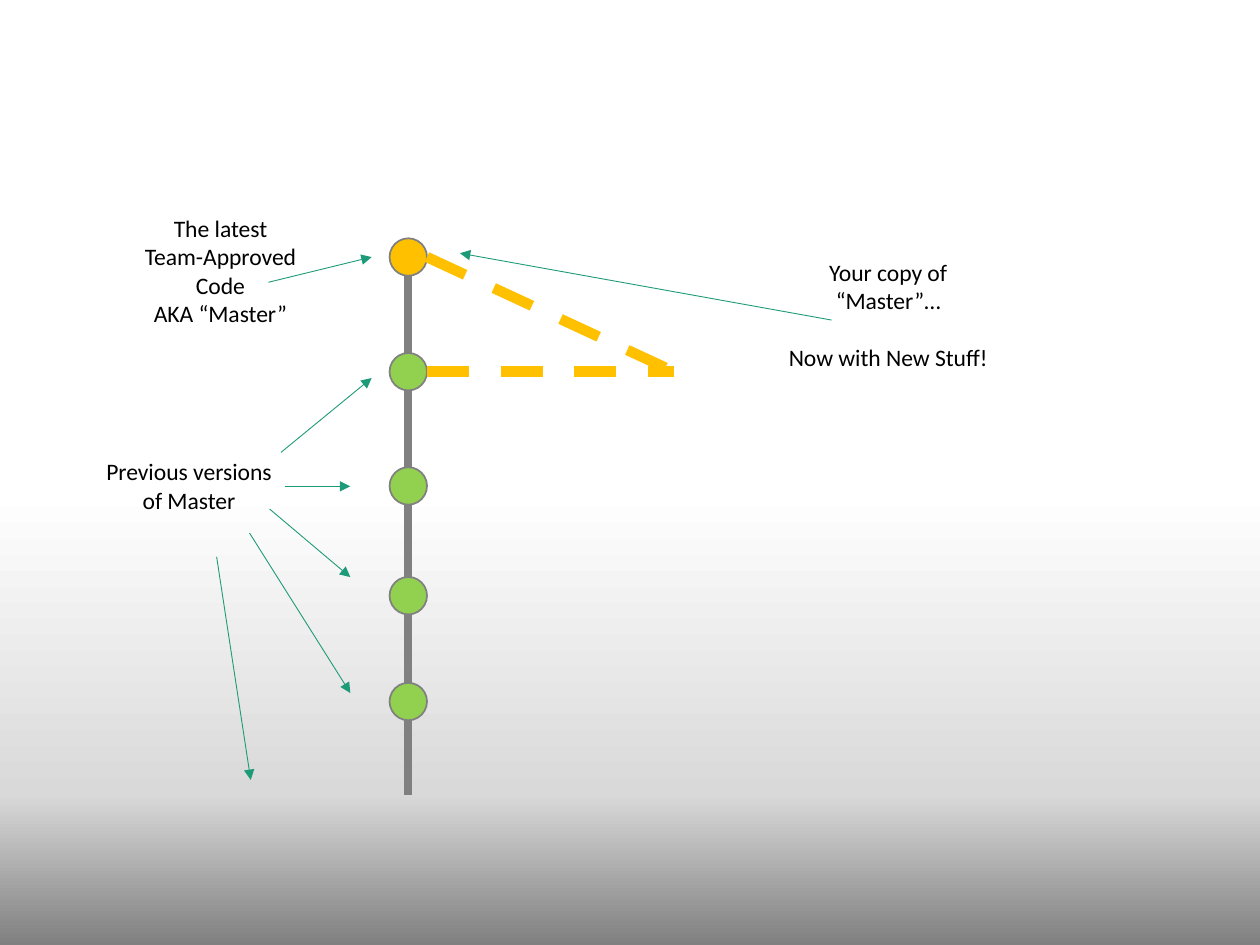
"""Build a slide that explains a master branch and a working copy of it."""
from copy import deepcopy
from dataclasses import dataclass
from itertools import pairwise

from pptx import Presentation
from pptx.dml.color import RGBColor as RGB
from pptx.enum.dml import MSO_LINE_DASH_STYLE as Dash
from pptx.enum.shapes import MSO_CONNECTOR as Connector, MSO_SHAPE as Shape
from pptx.enum.text import PP_ALIGN as Align
from pptx.oxml.ns import qn
from pptx.util import Pt


@dataclass(frozen=True)
class Theme:
    font: str = "Calibri"
    label_size: float = 13.5
    ink: RGB = RGB(0, 0, 0)
    trunk: RGB = RGB(0x80, 0x80, 0x80)
    previous: RGB = RGB(0x92, 0xD0, 0x50)
    latest: RGB = RGB(0xFF, 0xC0, 0x00)
    pointer: RGB = RGB(0x1D, 0x9A, 0x78)
    backdrop: tuple = (
        (0.52, RGB(0xFF, 0xFF, 0xFF)),
        (0.84, RGB(0xD9, 0xD9, 0xD9)),
        (1, RGB(0x80, 0x80, 0x80)),
    )


THEME = Theme()
TRUNK_X, TRUNK_END = 233.3, 454.3
COMMIT_YS = (146.9, 212.4, 277.7, 340.4, 400.9)
RADIUS = 10.7
BRANCH_TIP = (385.2, COMMIT_YS[1])
POINTERS = (
    ((153.4, 161.3), (212.4, 146.9)),
    ((475.2, 182.9), (262.8, 144.7)),
    ((160.6, 258.5), (212.4, 216)),
    ((162.7, 277.9), (200.2, 277.9)),
    ((154.1, 290.9), (200.2, 329.8)),
    ((142.6, 304.6), (200.2, 396)),
    ((123.8, 318.2), (143.3, 445.7)),
)


def paint_background(slide):
    fill = slide.background.fill
    fill.gradient()
    fill.gradient_angle = 270
    stop_list = slide.element.find(".//" + qn("a:gsLst"))
    stop_list.append(deepcopy(stop_list[-1]))
    for stop, (position, color) in zip(fill.gradient_stops, THEME.backdrop):
        stop.position = position
        stop.color.rgb = color


def add_line(slide, start, end, color, weight):
    line = slide.shapes.add_connector(
        Connector.STRAIGHT, *(Pt(v) for v in (*start, *end)))
    line.line.color.rgb = color
    line.line.width = Pt(weight)
    properties = line.element.spPr
    properties.append(properties.makeelement(qn("a:effectLst"), {}))
    return line


def add_pointer(slide, start, end):
    pointer = add_line(slide, start, end, THEME.pointer, 0.5)
    outline = pointer.line._get_or_add_ln()
    outline.append(outline.makeelement(qn("a:tailEnd"), {"type": "triangle"}))


def add_branch(slide, commit_y):
    start = (TRUNK_X + RADIUS, commit_y)
    branch = add_line(slide, start, BRANCH_TIP, THEME.latest, 6)
    branch.line.dash_style = Dash.DASH


def add_commit(slide, y, color):
    commit = slide.shapes.add_shape(
        Shape.OVAL, Pt(TRUNK_X - RADIUS), Pt(y - RADIUS),
        Pt(2 * RADIUS), Pt(2 * RADIUS))
    commit.shadow.inherit = False
    commit.fill.solid()
    commit.fill.fore_color.rgb = color
    commit.line.color.rgb = THEME.trunk
    commit.line.width = Pt(1)


def add_label(slide, box, lines, last_gap=0):
    frame = slide.shapes.add_textbox(*(Pt(v) for v in box)).text_frame
    frame.word_wrap = True
    frame.margin_left = frame.margin_right = Pt(5.4)
    frame.margin_top = frame.margin_bottom = Pt(2.7)
    for index, text in enumerate(lines):
        paragraph = frame.add_paragraph() if index else frame.paragraphs[0]
        paragraph.alignment = Align.CENTER
        run = paragraph.add_run()
        run.text = text
        run.font.name = THEME.font
        run.font.size = Pt(THEME.label_size)
        run.font.color.rgb = THEME.ink
    if last_gap:
        paragraph.space_before = Pt(last_gap)


def main():
    deck = Presentation()
    deck.slide_width, deck.slide_height = Pt(720), Pt(540)
    slide = deck.slides.add_slide(deck.slide_layouts[6])
    paint_background(slide)

    for upper, lower in pairwise((*COMMIT_YS, TRUNK_END + RADIUS)):
        add_line(slide, (TRUNK_X, upper + RADIUS), (TRUNK_X, lower - RADIUS),
                 THEME.trunk, 4.5)
    for index, y in enumerate(COMMIT_YS):
        add_commit(slide, y, THEME.previous if index else THEME.latest)
    for y in COMMIT_YS[:2]:
        add_branch(slide, y)

    add_label(slide, (71.3, 119.5, 109.4, 72.7),
              ("The latest", "Team-Approved Code", "AKA “Master”"))
    add_label(slide, (429.8, 144.7, 155.5, 72.7),
              ("Your copy of", "“Master”…", "Now with New Stuff!"), 16.3)
    add_label(slide, (53.3, 258.5, 109.4, 56.2),
              ("Previous versions of Master",))
    for start, end in POINTERS:
        add_pointer(slide, start, end)

    deck.save("out.pptx")


if __name__ == "__main__":
    main()
